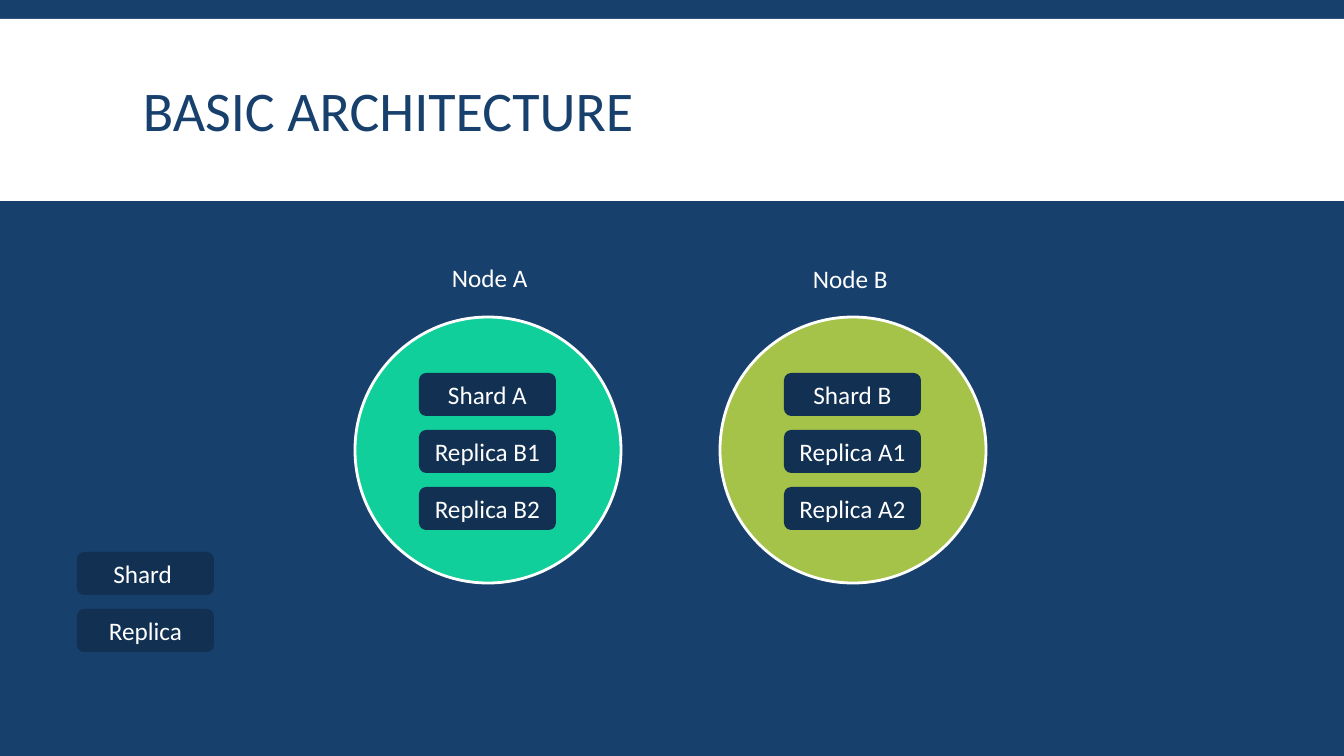
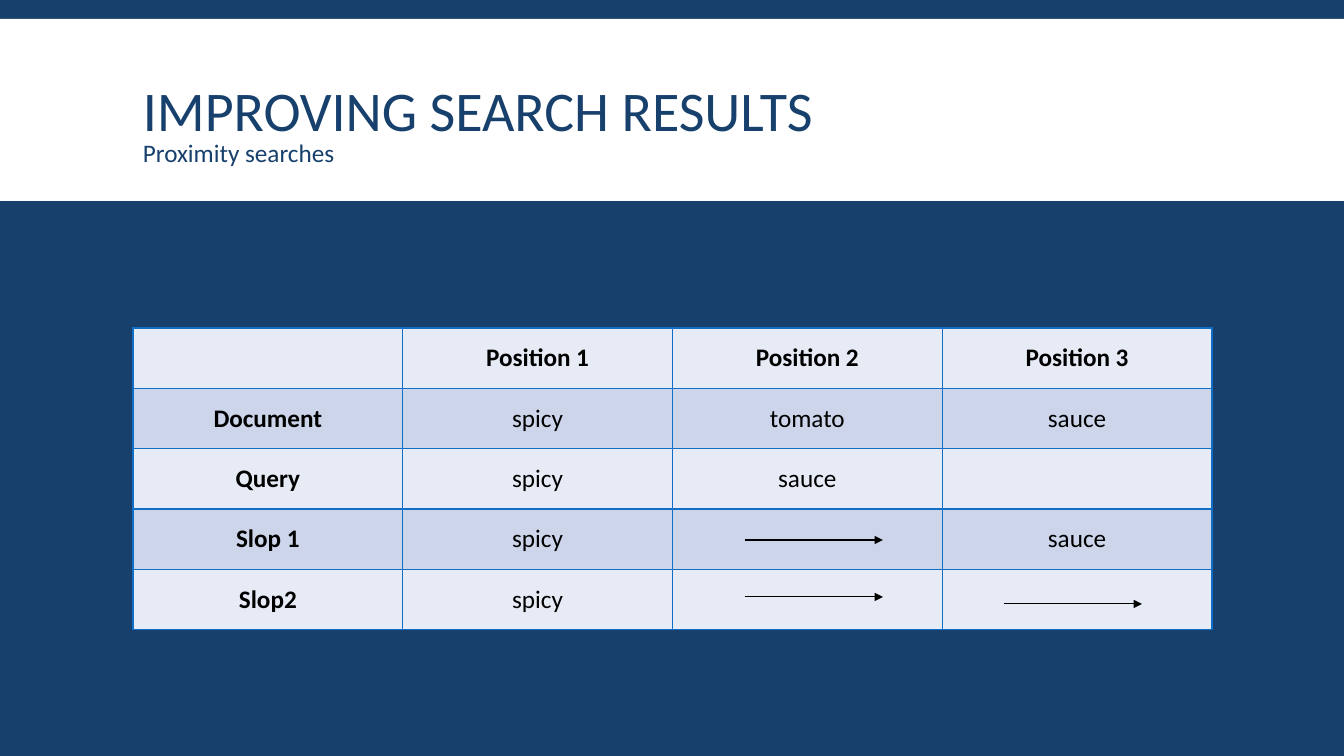
from lxml import etree
from pptx import Presentation
from pptx.dml.color import RGBColor
from pptx.enum.shapes import MSO_CONNECTOR, MSO_SHAPE
from pptx.enum.text import MSO_ANCHOR, PP_ALIGN
from pptx.oxml.ns import qn
from pptx.util import Emu, Pt

RECTANGLE = MSO_SHAPE.RECTANGLE
ROUNDED = MSO_SHAPE.ROUNDED_RECTANGLE
OVAL = MSO_SHAPE.OVAL
STRAIGHT = MSO_CONNECTOR.STRAIGHT
TOP, MIDDLE = MSO_ANCHOR.TOP, MSO_ANCHOR.MIDDLE
LEFT, CENTER = PP_ALIGN.LEFT, PP_ALIGN.CENTER

EMU_PER_PX = 914400 / 100.8
SLIDE_WIDTH, SLIDE_HEIGHT = 1344, 756
CONTENT_LEFT, CONTENT_WIDTH = 133, 1079
PILL_WIDTH, PILL_HEIGHT, PILL_PITCH = 137, 43, 57
CIRCLE_SIZE = 266
ARROW_LENGTH = 138

COLORS = {
    "navy": "17406D",
    "pill": "113052",
    "white": "FFFFFF",
    "black": "000000",
    "green": "10CF9B",
    "lime": "A5C249",
    "border": "0F6FC6",
    "row_light": "E7EBF5",
    "row_dark": "CCD5EA",
}
FONT = {"name": "Calibri", "size": Pt(18)}
TITLE_FONT = {"name": "Calibri", "size": Pt(40)}

NODES = [
    ("Node A", 442, 257, 355, "green", ["Shard A", "Replica B1", "Replica B2"]),
    ("Node B", 803, 258, 720, "lime", ["Shard B", "Replica A1", "Replica A2"]),
]
ROWS = [
    ["", "Position 1", "Position 2", "Position 3"],
    ["Document", "spicy", "tomato", "sauce"],
    ["Query", "spicy", "sauce", ""],
    ["Slop 1", "spicy", "", "sauce"],
    ["Slop2", "spicy", "", ""],
]
ARROWS = [(745, 540), (745, 597), (1004, 604)]


def px(length):
    return Emu(round(length * EMU_PER_PX))


def color(name):
    return RGBColor.from_string(COLORS[name])


def write_text(text_frame, text, color_name, alignment=LEFT, font=FONT, bold=False):
    paragraph = text_frame.paragraphs[0]
    paragraph.alignment = alignment
    run = paragraph.add_run()
    run.text = text
    for attribute, value in {**font, "bold": bold}.items():
        setattr(run.font, attribute, value)
    run.font.color.rgb = color(color_name)
    return paragraph


def add_label(slide, text, box, color_name, anchor=TOP, wrap=True, font=FONT):
    label = slide.shapes.add_textbox(*map(px, box))
    label.text_frame.word_wrap = wrap
    label.text_frame.vertical_anchor = anchor
    return write_text(label.text_frame, text, color_name, font=font)


def add_block(slide, kind, box, fill, outline=None):
    shape = slide.shapes.add_shape(kind, *map(px, box))
    shape.shadow.inherit = False
    shape.fill.solid()
    shape.fill.fore_color.rgb = color(fill)
    if outline:
        shape.line.color.rgb = color(outline)
        shape.line.width = Pt(2)
    else:
        shape.line.fill.background()
    return shape


def add_pills(slide, texts, left, top):
    for index, text in enumerate(texts):
        box = (left, top + index * PILL_PITCH, PILL_WIDTH, PILL_HEIGHT)
        pill = add_block(slide, ROUNDED, box, "pill")
        pill.text_frame.vertical_anchor = MIDDLE
        write_text(pill.text_frame, text, "white", CENTER)


def add_node(slide, name, label_left, label_top, left, fill, pills):
    circle = (left, 317, CIRCLE_SIZE, CIRCLE_SIZE)
    add_block(slide, OVAL, circle, fill, "white")
    add_label(slide, name, (label_left, label_top, 98, 40), "white", wrap=False)
    add_pills(slide, pills, left + (CIRCLE_SIZE - PILL_WIDTH) // 2, 373)


def add_arrow(slide, left, top):
    arrow = slide.shapes.add_connector(
        STRAIGHT, px(left), px(top), px(left + ARROW_LENGTH), px(top)
    )
    arrow.line.color.rgb = color("black")
    arrow.line.width = Pt(0.75)
    etree.SubElement(arrow.line._get_or_add_ln(), qn("a:tailEnd"), type="triangle")
    etree.SubElement(arrow._element.spPr, qn("a:effectLst"))


def set_borders(cell):
    properties = cell._tc.get_or_add_tcPr()
    for side in ("a:lnL", "a:lnR", "a:lnT", "a:lnB"):
        border = etree.SubElement(properties, qn(side), w=str(Pt(1)))
        fill = etree.SubElement(border, qn("a:solidFill"))
        etree.SubElement(fill, qn("a:srgbClr"), val=COLORS["border"])


def add_grid(slide, rows, box):
    table = slide.shapes.add_table(len(rows), len(rows[0]), *map(px, box)).table
    table.first_row = False
    table.horz_banding = False
    for row_index, row in enumerate(rows):
        for column_index, text in enumerate(row):
            cell = table.cell(row_index, column_index)
            set_borders(cell)
            cell.fill.solid()
            cell.fill.fore_color.rgb = color("row_dark" if row_index % 2 else "row_light")
            cell.vertical_anchor = MIDDLE
            if text:
                heading = row_index == 0 or column_index == 0
                write_text(cell.text_frame, text, "black", CENTER, bold=heading)


def add_titled_slide(presentation, title):
    slide = presentation.slides.add_slide(presentation.slide_layouts[6])
    add_block(slide, RECTANGLE, (0, 19, SLIDE_WIDTH, 182), "white")
    box = (CONTENT_LEFT, 31, CONTENT_WIDTH, 166)
    paragraph = add_label(slide, title, box, "navy", MIDDLE, font=TITLE_FONT)
    paragraph.line_spacing = 0.85
    return slide


def build_architecture(presentation):
    slide = add_titled_slide(presentation, "BASIC ARCHITECTURE")
    for node in NODES:
        add_node(slide, *node)
    add_pills(slide, ["Shard ", "Replica"], 77, 552)


def build_search_results(presentation):
    slide = add_titled_slide(presentation, "IMPROVING SEARCH RESULTS")
    add_label(slide, "Proximity searches", (CONTENT_LEFT, 132, 296, 40), "navy")
    add_grid(slide, ROWS, (CONTENT_LEFT, 328, CONTENT_WIDTH, 302))
    for left, top in ARROWS:
        add_arrow(slide, left, top)


def main():
    presentation = Presentation()
    presentation.slide_width = px(SLIDE_WIDTH)
    presentation.slide_height = px(SLIDE_HEIGHT)
    background = presentation.slide_master.background.fill
    background.solid()
    background.fore_color.rgb = color("navy")
    build_architecture(presentation)
    build_search_results(presentation)
    presentation.save("out.pptx")


if __name__ == "__main__":
    main()
